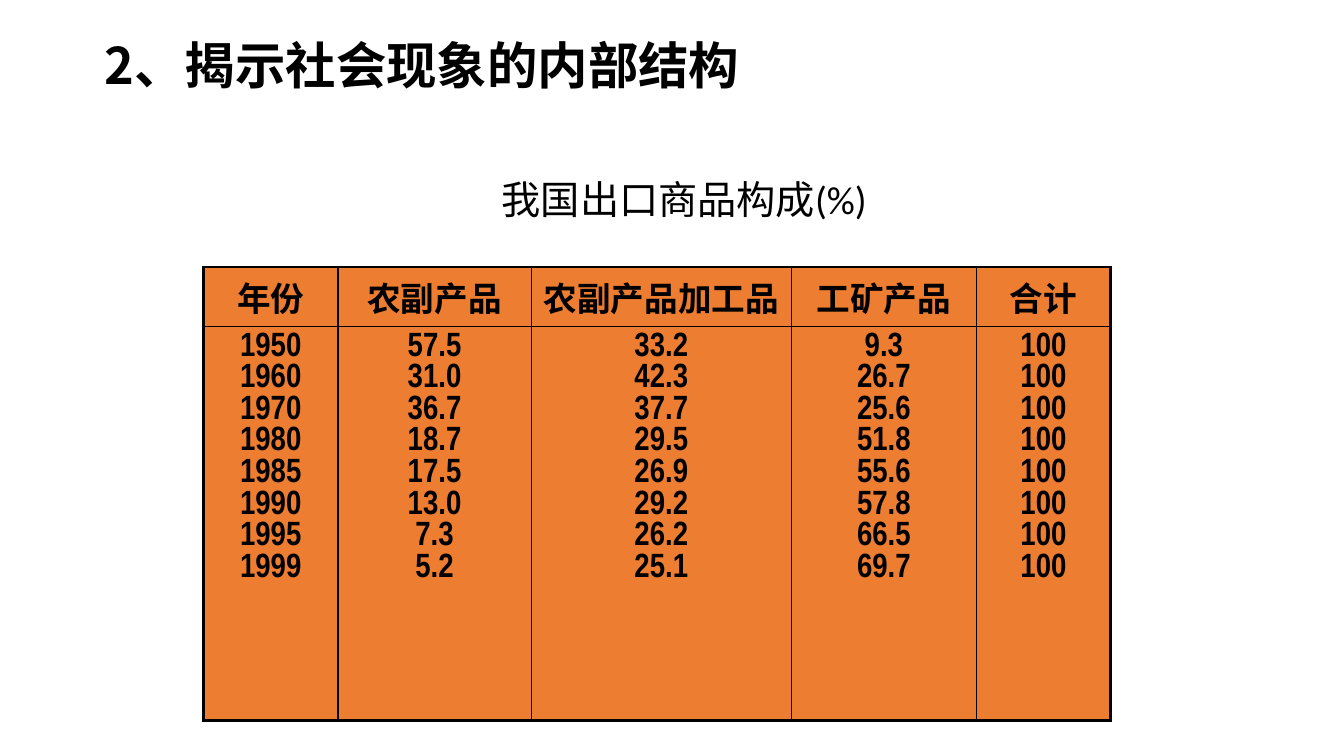
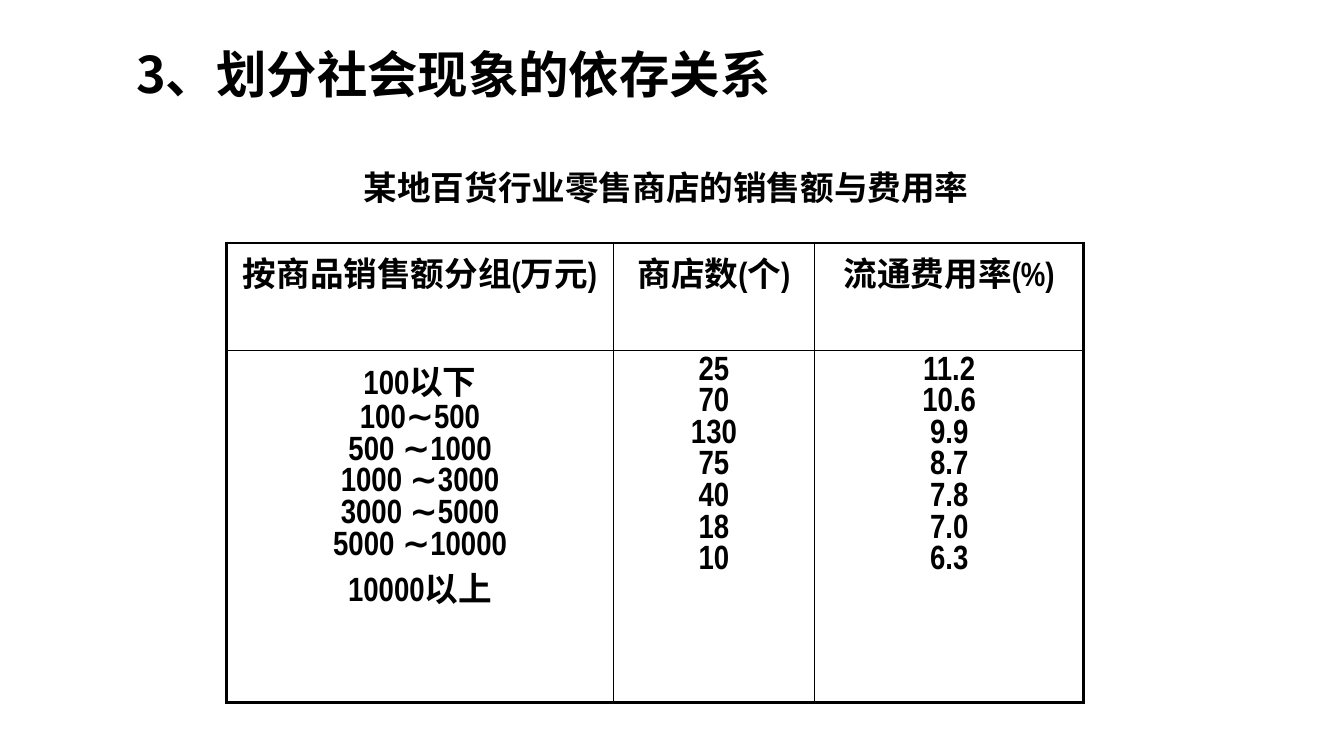
"""Build two slides that show statistical groupings as tables."""
from lxml import etree
from pptx import Presentation
from pptx.dml.color import RGBColor
from pptx.enum.text import MSO_ANCHOR, MSO_AUTO_SIZE, PP_ALIGN
from pptx.oxml.ns import qn
from pptx.util import Pt

LEFT, CENTER = PP_ALIGN.LEFT, PP_ALIGN.CENTER
MIDDLE = MSO_ANCHOR.MIDDLE
GROW = MSO_AUTO_SIZE.SHAPE_TO_FIT_TEXT
BLACK = RGBColor(0x00, 0x00, 0x00)
WHITE = RGBColor(0xFF, 0xFF, 0xFF)
ORANGE = RGBColor(0xED, 0x7D, 0x31)
CJK_FONT = "Noto Sans CJK SC"
TABLE_FONT = "Arial Narrow"
CAPTION_FONT = "Calibri"
TITLE_ONLY = 5
THICK, THIN = 2.25, 1

SLIDES = [
    {
        "title": "2、揭示社会现象的内部结构",
        "title_at": (67.7, 3.6, 567.4, 90),
        "caption": "我国出口商品构成(%)",
        "caption_at": (351.4, 121.7, 419.8, 41),
        "caption_size": 28,
        "caption_bold": False,
        "table_at": (145.4, 190.8),
        "widths": (96, 138, 186, 132, 96),
        "heights": (42.5, 281.5),
        "fill": ORANGE,
        "columns": [
            ("年份", "1950 1960 1970 1980 1985 1990 1995 1999".split()),
            ("农副产品", "57.5 31.0 36.7 18.7 17.5 13.0 7.3 5.2".split()),
            ("农副产品加工品", "33.2 42.3 37.7 29.5 26.9 29.2 26.2 25.1".split()),
            ("工矿产品", "9.3 26.7 25.6 51.8 55.6 57.8 66.5 69.7".split()),
            ("合计", ["100"] * 8),
        ],
    },
    {
        "title": "3、划分社会现象的依存关系",
        "title_at": (90, 10.1, 593.3, 90),
        "caption": "某地百货行业零售商店的销售额与费用率",
        "caption_at": (252.7, 115.9, 450.7, 36),
        "caption_size": 24,
        "caption_bold": True,
        "table_at": (162, 173.5),
        "widths": (276, 144, 192),
        "heights": (49, 251.3),
        "fill": WHITE,
        "columns": [
            ("按商品销售额分组(万元)", [
                "100以下", "100∼500", "500 ∼1000", "1000 ∼3000",
                "3000 ∼5000", "5000 ∼10000", "10000以上",
            ]),
            ("商店数(个)", "25 70 130 75 40 18 10".split()),
            ("流通费用率(%)", "11.2 10.6 9.9 8.7 7.8 7.0 6.3".split()),
        ],
    },
]


def write(frame, lines, font, size, bold, align):
    """Fill a text frame with one run per paragraph."""
    for index, line in enumerate(lines):
        para = frame.add_paragraph() if index else frame.paragraphs[0]
        para.alignment = align
        span = para.add_run()
        span.text = line
        span.font.name = font
        span.font.size = Pt(size)
        span.font.bold = bold
        span.font.color.rgb = BLACK
        east_asian = etree.SubElement(span._r.get_or_add_rPr(), qn("a:ea"))
        east_asian.set("typeface", CJK_FONT)


def add_borders(cell, widths):
    """Draw the left, right, top and bottom borders of a cell."""
    properties = cell._tc.get_or_add_tcPr()
    for index, (side, width) in enumerate(zip("LRTB", widths)):
        line = etree.Element(qn(f"a:ln{side}"), w=str(Pt(width)))
        solid = etree.SubElement(line, qn("a:solidFill"))
        etree.SubElement(solid, qn("a:srgbClr"), val=str(BLACK))
        properties.insert(index, line)


deck = Presentation()
deck.slide_width, deck.slide_height = Pt(960), Pt(540)

for content in SLIDES:
    page = deck.slides.add_slide(deck.slide_layouts[TITLE_ONLY])

    title = page.shapes.title
    title.left, title.top, title.width, title.height = map(Pt, content["title_at"])
    title.text_frame.vertical_anchor = MIDDLE
    write(title.text_frame, [content["title"]], CJK_FONT, 36, True, LEFT)
    title.text_frame.paragraphs[0].line_spacing = 0.9

    columns = content["columns"]
    widths, heights = content["widths"], content["heights"]
    table = page.shapes.add_table(
        len(heights), len(columns), *map(Pt, content["table_at"]),
        Pt(sum(widths)), Pt(sum(heights))).table
    table.first_row = table.horz_banding = False
    for row, height in zip(table.rows, heights):
        row.height = Pt(height)
    last = len(columns) - 1
    for col, (heading, values) in enumerate(columns):
        table.columns[col].width = Pt(widths[col])
        for row, lines in enumerate(([heading], values)):
            cell = table.cell(row, col)
            cell.fill.solid()
            cell.fill.fore_color.rgb = content["fill"]
            write(cell.text_frame, lines, TABLE_FONT, 24, True, CENTER)
            outer_edges = (col == 0, col == last, row == 0, row == 1)
            add_borders(cell, [THICK if outer else THIN for outer in outer_edges])

    caption = page.shapes.add_textbox(*map(Pt, content["caption_at"])).text_frame
    caption.word_wrap = True
    caption.auto_size = GROW
    write(caption, [content["caption"]], CAPTION_FONT, content["caption_size"],
          content["caption_bold"], LEFT)

deck.save("out.pptx")
